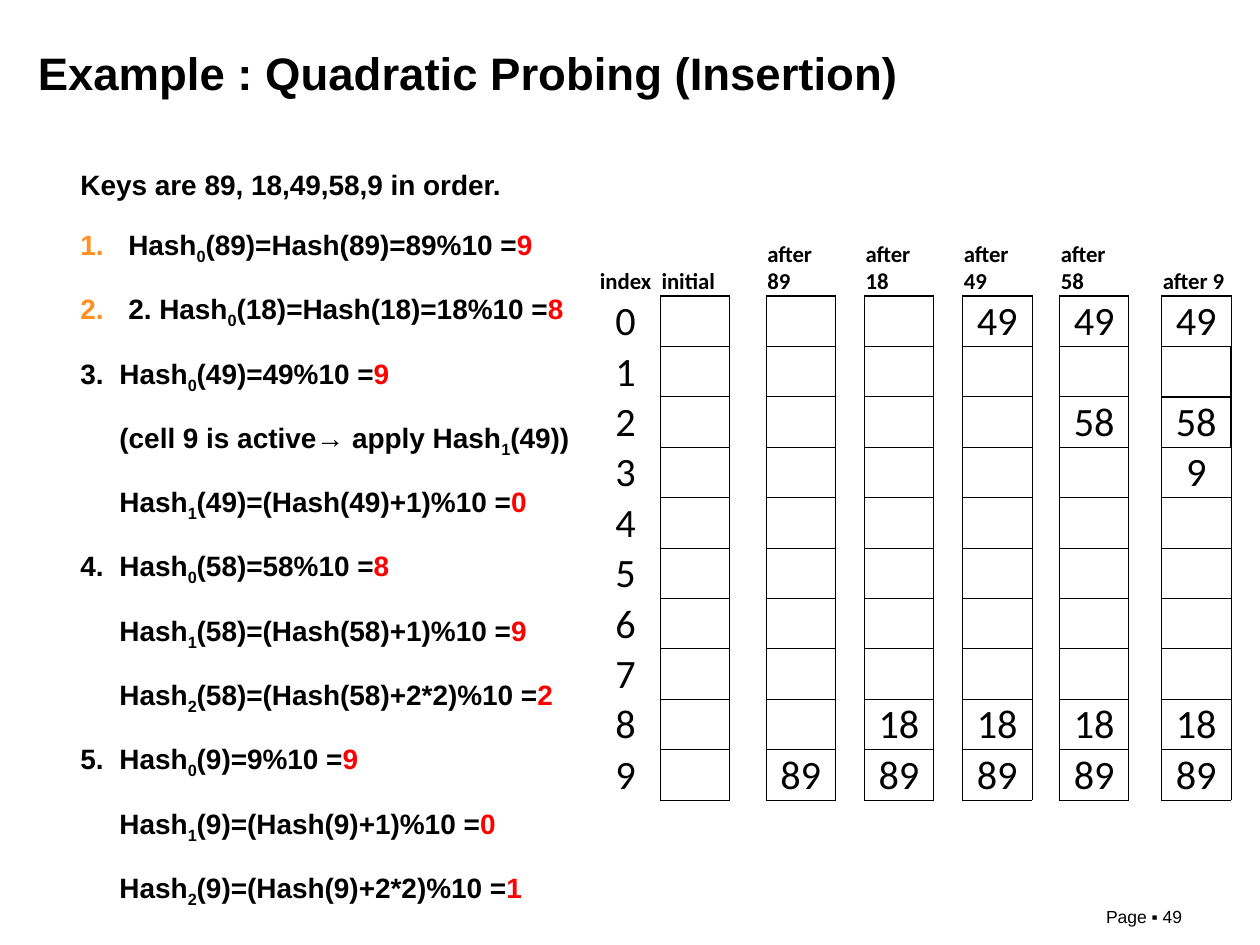
from lxml.etree import SubElement
from pptx import Presentation
from pptx.dml.color import RGBColor
from pptx.enum.text import MSO_ANCHOR, PP_ALIGN
from pptx.oxml.ns import qn
from pptx.util import Inches, Pt

BLACK = RGBColor(0x00, 0x00, 0x00)
WHITE = RGBColor(0xFF, 0xFF, 0xFF)
RED = RGBColor(0xFF, 0x00, 0x00)
ORANGE = RGBColor(0xFF, 0x90, 0x21)
NO_TABLE_STYLE = "{2D5ABB26-0587-4C30-8999-92F81FD0307C}"

# (numbered, lead, subscript, rest, result)
STEPS = [
    (False, "Keys are 89, 18,49,58,9 in order.", "", "", ""),
    (True, "Hash", "0", "(89)=Hash(89)=89%10 =", "9"),
    (True, "2. Hash", "0", "(18)=Hash(18)=18%10 =", "8"),
    (False, "3. \tHash", "0", "(49)=49%10 =", "9"),
    (False, "\t(cell 9 is active→ apply Hash", "1", "(49))", ""),
    (False, "\tHash", "1", "(49)=(Hash(49)+1)%10 =", "0"),
    (False, "4. \tHash", "0", "(58)=58%10 =", "8"),
    (False, "\tHash", "1", "(58)=(Hash(58)+1)%10 =", "9"),
    (False, "\tHash", "2", "(58)=(Hash(58)+2*2)%10 =", "2"),
    (False, "5. \tHash", "0", "(9)=9%10 =", "9"),
    (False, "\tHash", "1", "(9)=(Hash(9)+1)%10 =", "0"),
    (False, "\tHash", "2", "(9)=(Hash(9)+2*2)%10 =", "1"),
]
INSERTIONS = [(89, 9), (18, 8), (49, 0), (58, 2), (9, 3)]  # key, slot it ends in
SLOTS = 10
BOX = 0.55
GAPS = [0.29, 0.23, 0.23, 0.22, 0.26]
HEADER_ROW, SLOT_ROW = 0.49, 0.4


def style(run, name, size, color=BLACK, bold=False):
    run.font.name = name
    run.font.size = Pt(size)
    run.font.color.rgb = color
    run.font.bold = bold


def add_border(cell, side, width):
    line = SubElement(cell._tc.get_or_add_tcPr(), qn(f"a:ln{side}"), w=str(Pt(width)))
    fill = SubElement(line, qn("a:solidFill"))
    SubElement(fill, qn("a:srgbClr"), val=str(BLACK))


prs = Presentation()
prs.slide_width, prs.slide_height = Inches(10), Inches(7.5)
slide = prs.slides.add_slide(prs.slide_layouts[5])

# Title
title = slide.shapes.title
title.left, title.top = Inches(0.2), 0
title.width, title.height = Inches(9.8), Inches(1.15)
title.text_frame.text = "Example : Quadratic Probing (Insertion)"
title.text_frame.vertical_anchor = MSO_ANCHOR.MIDDLE
heading = title.text_frame.paragraphs[0]
heading.alignment = PP_ALIGN.LEFT
style(heading.runs[0], "Arial", 26, bold=True)

# Hash steps
steps = slide.shapes.add_textbox(Inches(0.04), Inches(1.15), Inches(9.8), Inches(5.59))
steps.fill.solid()
steps.fill.fore_color.rgb = WHITE
steps.text_frame.word_wrap = True
for number, (numbered, lead, subscript, rest, result) in enumerate(STEPS):
    paragraph = steps.text_frame.paragraphs[0] if number == 0 else steps.text_frame.add_paragraph()
    paragraph.alignment = PP_ALIGN.JUSTIFY
    paragraph.line_spacing = 1.5
    paragraph.space_before = Pt(4)
    margin, hanging = (0.88, 0.38) if numbered else (0.81, 0.31)
    props = paragraph._p.get_or_add_pPr()
    props.set("marL", str(Inches(margin)))
    props.set("indent", str(-Inches(hanging)))
    if numbered:
        bullet_color = SubElement(props, qn("a:buClr"))
        SubElement(bullet_color, qn("a:srgbClr"), val=str(ORANGE))
        SubElement(props, qn("a:buFont"), typeface="+mj-lt")
        SubElement(props, qn("a:buAutoNum"), type="arabicPeriod")
    else:
        SubElement(props, qn("a:buNone"))
    for part, color, baseline in [(lead, BLACK, 0), (subscript, BLACK, -25000),
                                  (rest, BLACK, 0), (result, RED, 0)]:
        if part:
            run = paragraph.add_run()
            run.text = part
            style(run, "Arial", 16, color, bold=True)
            if baseline:
                run.font._element.set("baseline", str(baseline))

# Table: index column, then one boxed column per state with gaps between them
widths = [BOX, BOX]
for gap in GAPS:
    widths += [gap, BOX]
heights = [HEADER_ROW] + [SLOT_ROW] * SLOTS
last_column = len(widths) - 1
frame = slide.shapes.add_table(len(heights), len(widths), Inches(4.69), Inches(1.86),
                               Inches(sum(widths)), Inches(sum(heights)))
states = frame.table
states.first_row = states.horz_banding = False
states._tbl.tblPr.find(qn("a:tableStyleId")).text = NO_TABLE_STYLE
for column, width in zip(states.columns, widths):
    column.width = Inches(width)
for row, height in zip(states.rows, heights):
    row.height = Inches(height)

contents = {(0, 0): "index", (0, 1): "initial"}
for slot in range(SLOTS):
    contents[slot + 1, 0] = str(slot)
for state, (key, _) in enumerate(INSERTIONS, start=1):
    contents[0, 2 * state + 1] = f"after {key}"
    for stored, slot in INSERTIONS[:state]:
        contents[slot + 1, 2 * state + 1] = str(stored)

for r in range(len(heights)):
    for c in range(len(widths)):
        cell = states.cell(r, c)
        cell.margin_left = cell.margin_right = cell.margin_top = Inches(0.01)
        cell.margin_bottom = 0
        cell.vertical_anchor = MSO_ANCHOR.BOTTOM
        if (r, c) in contents:
            cell.text_frame.text = contents[r, c]
            entry = cell.text_frame.paragraphs[0]
            entry.alignment = PP_ALIGN.LEFT if r == 0 and c > 0 else PP_ALIGN.CENTER
            style(entry.runs[0], "Calibri", 13 if r == 0 else 23, bold=r == 0)
        heavy = c == last_column and r in (2, 3)
        beside_heavy = c == last_column - 1 and r in (2, 3)
        boxed = c % 2 == 1
        if r > 0 and c > 0:
            add_border(cell, "L", 1 if heavy else 0.5)
        if r > 0:
            add_border(cell, "R", 1 if heavy or beside_heavy else 0.5)
        if boxed and r > 0:
            add_border(cell, "T", 1 if heavy or r == 1 else 0.5)
        if boxed:
            add_border(cell, "B", 1 if heavy or r == 0 else 0.5)
        cell.fill.background()

# Page number
footer = slide.shapes.add_textbox(Inches(7.91), Inches(7.14), Inches(1.57), Inches(0.22))
footer.text_frame.word_wrap = True
footer.text_frame.text = "Page ▪ 49"
page = footer.text_frame.paragraphs[0]
page.alignment = PP_ALIGN.RIGHT
style(page.runs[0], "Arial", 10)

prs.save("out.pptx")
